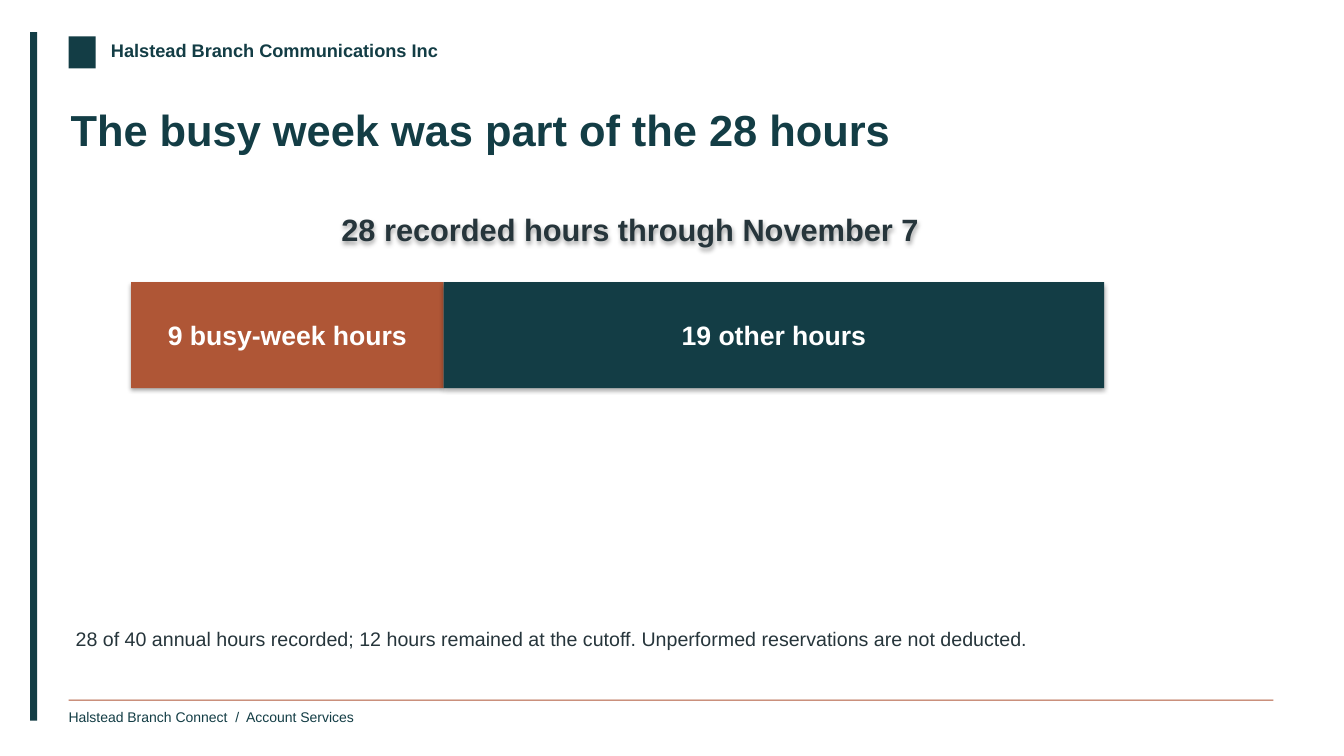
from pptx import Presentation
from pptx.dml.color import RGBColor
from pptx.enum.shapes import MSO_SHAPE
from pptx.enum.text import MSO_ANCHOR, MSO_AUTO_SIZE, PP_ALIGN
from pptx.util import Emu, Pt
from lxml.etree import SubElement
from pptx.oxml.ns import qn

PX = 9144  # 100 px to the inch
TEAL, RUST, INK, WHITE = "133D45", "AF5636", "26353B", "FFFFFF"


def add_rect(x, y, w, h, color=None, shadow=False):
    sp = s.shapes.add_shape(MSO_SHAPE.RECTANGLE, *(Emu(v * PX) for v in (x, y, w, h)))
    if color:
        sp.fill.solid()
        sp.fill.fore_color.rgb = RGBColor.from_string(color)
    else:
        sp.fill.background()
    sp.line.fill.background()
    if not shadow:
        sp.shadow.inherit = False
    return sp


def set_text(sp, text, box=None, size=14, color=INK, bold=False, wrap=True,
             align=PP_ALIGN.LEFT, anchor=MSO_ANCHOR.TOP, inset=(0, 0)):
    if box:
        sp.left, sp.top, sp.width, sp.height = (Emu(v * PX) for v in box)
    tf = sp.text_frame
    tf.word_wrap = wrap
    tf.auto_size = MSO_AUTO_SIZE.NONE
    tf.vertical_anchor = anchor
    tf.margin_left = tf.margin_right = Emu(inset[0] * PX)
    tf.margin_top = tf.margin_bottom = Emu(inset[1] * PX)
    p = tf.paragraphs[0]
    p.alignment = align
    p.space_before = Pt(0)
    r = p.add_run()
    r.text = text
    r.font.name = "Arial"
    r.font.size = Pt(size)
    r.font.bold = bold
    r.font.color.rgb = RGBColor.from_string(color)


prs = Presentation()
prs.slide_width, prs.slide_height = Emu(1333 * PX), Emu(750 * PX)
s = prs.slides.add_slide(prs.slide_layouts[1])

# Side band, plain brand mark and footer rule
add_rect(30, 32, 7, 683, TEAL)
add_rect(68, 36, 27, 32, TEAL)
add_rect(68, 694, 1195, 1, RUST)

set_text(s.shapes.add_textbox(0, 0, 0, 0), "Halstead Branch Communications Inc",
         (110, 39, 355, 27), size=13, color=TEAL, bold=True, wrap=False)
set_text(s.shapes.add_textbox(0, 0, 0, 0), "Halstead Branch Connect  /  Account Services",
         (68, 703, 260, 23), size=10, color=TEAL, wrap=False)

set_text(s.shapes.title, "The busy week was part of the 28 hours",
         (70, 102, 1190, 86), size=31, color=TEAL, bold=True)

note = s.placeholders[1]
pPr = note.text_frame.paragraphs[0]._p.get_or_add_pPr()
pPr.set("marL", "0")
pPr.set("indent", "0")
SubElement(pPr, qn("a:buNone"))
set_text(note, "28 of 40 annual hours recorded; 12 hours remained at the cutoff. "
         "Unperformed reservations are not deducted.", (75, 622, 1182, 44))

# Heading and the split bar
centred = dict(bold=True, align=PP_ALIGN.CENTER, anchor=MSO_ANCHOR.MIDDLE, inset=(12, 5))
set_text(add_rect(125, 200, 1000, 55, shadow=True),
         "28 recorded hours through November 7", size=22, **centred)
x = 130
for label, width, color in (("9 busy-week hours", 310, RUST), ("19 other hours", 655, TEAL)):
    set_text(add_rect(x, 280, width, 105, color, shadow=True), label,
             size=19, color=WHITE, **centred)
    x += width

prs.save("out.pptx")
